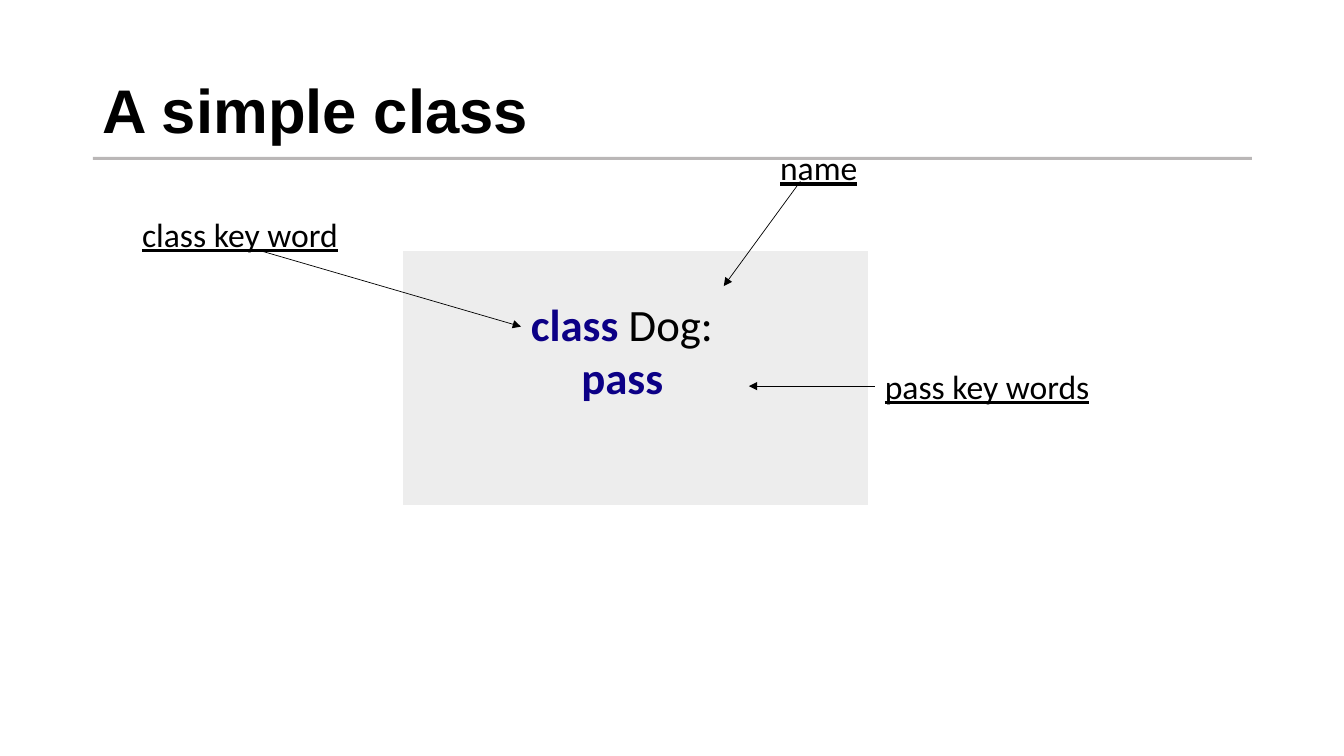
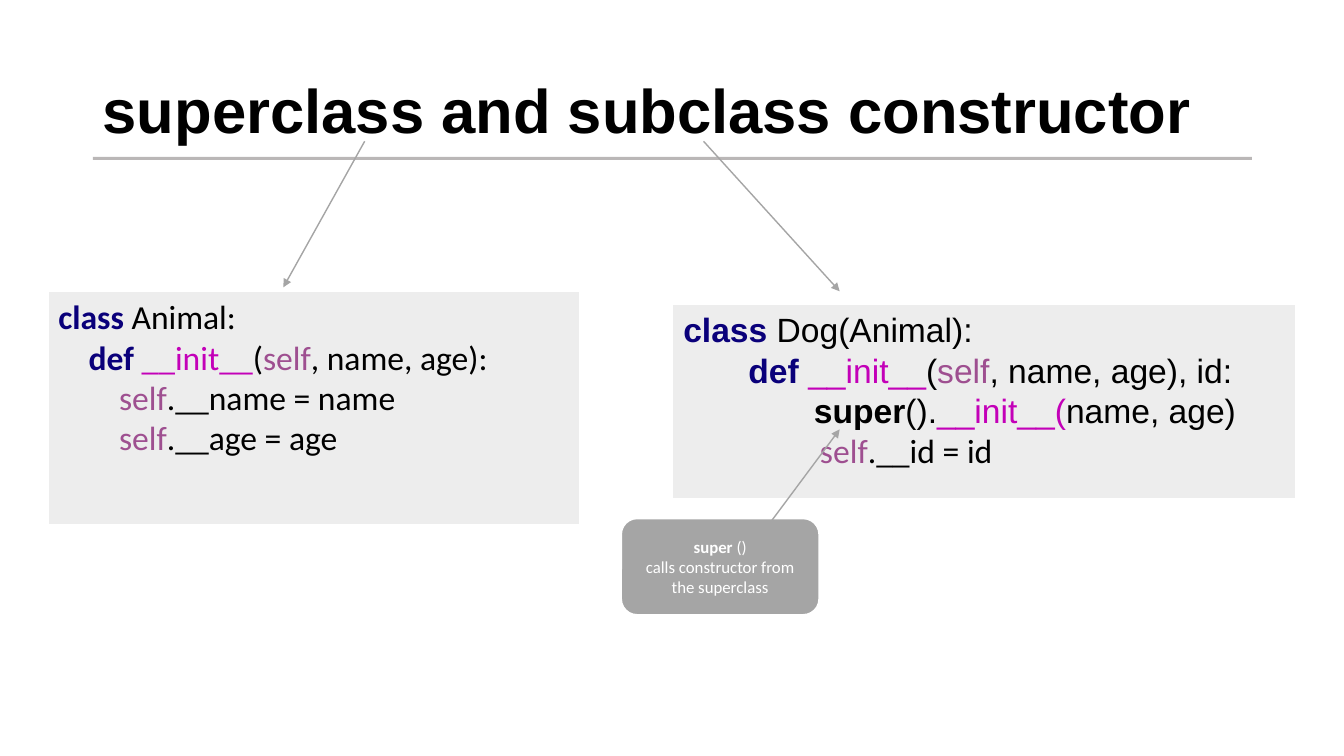
from lxml import etree
from pptx import Presentation
from pptx.dml.color import RGBColor
from pptx.enum.shapes import MSO_CONNECTOR, MSO_SHAPE
from pptx.enum.text import MSO_ANCHOR, MSO_AUTO_SIZE, PP_ALIGN
from pptx.oxml.ns import qn
from pptx.util import Cm, Pt

STRAIGHT = MSO_CONNECTOR.STRAIGHT
ROUNDED = MSO_SHAPE.ROUNDED_RECTANGLE
MIDDLE = MSO_ANCHOR.MIDDLE
CENTER = PP_ALIGN.CENTER
FIT_SHAPE = MSO_AUTO_SIZE.SHAPE_TO_FIT_TEXT
LEFT_SIDE = 1

BLACK, WHITE = "000000", "FFFFFF"
PANEL_GREY, NOTE_GREY, RULE_GREY = "EDEDED", "A5A5A5", "767171"
HEADING_FONT, BODY_FONT = "Arial", "Calibri"

# Code token: colour and weight
TOKENS = {
    "first": ("0C0086", True),
    "keyword": ("0A007A", True),
    "method": ("C300B8", False),
    "self": ("9E4F90", False),
    "builtin": (BLACK, True),
}


def rgb(hex_colour):
    return RGBColor.from_string(hex_colour)


class Deck:
    """Holds the presentation's style and the slide being drawn."""

    def __init__(self):
        self.prs = Presentation()
        self.prs.slide_width, self.prs.slide_height = Cm(33.87), Cm(19.05)
        self.shapes = None

    def slide(self, title):
        blank = self.prs.slide_layouts[6]
        self.shapes = self.prs.slides.add_slide(blank).shapes
        frame = self.text_box(2.34, 1.02, 29.21, 3.68).text_frame
        frame.vertical_anchor = MIDDLE
        heading = frame.paragraphs[0]
        heading.line_spacing = 0.9
        self.fill_paragraph(heading, [title], 44, HEADING_FONT)
        heading.font.bold = True
        self.line((2.34, 3.99), (31.55, 3.99), RULE_GREY, 2, opacity=49)

    def text_box(self, left, top, width, height, wrap=True):
        box = self.shapes.add_textbox(Cm(left), Cm(top), Cm(width), Cm(height))
        box.text_frame.word_wrap = wrap
        return box

    def fill_paragraph(self, paragraph, parts, size, font=BODY_FONT,
                       colour=BLACK):
        """Parts are plain strings or (text, token) pairs."""
        paragraph.font.size, paragraph.font.name = Pt(size), font
        paragraph.font.color.rgb = rgb(colour)
        for part in parts:
            run = paragraph.add_run()
            if isinstance(part, str):
                run.text = part
            else:
                run.text, token = part
                token_colour, run.font.bold = TOKENS[token]
                run.font.color.rgb = rgb(token_colour)

    def panel(self, left, top, width, height):
        """Grey one-cell table behind a code sample."""
        table = self.shapes.add_table(
            1, 1, Cm(left), Cm(top), Cm(width), Cm(height)).table
        fill = table.cell(0, 0).fill
        fill.solid()
        fill.fore_color.rgb = rgb(PANEL_GREY)

    def code(self, left, top, width, height, lines, size=24, wrap=True):
        """Lines are (font, parts) pairs."""
        frame = self.text_box(left, top, width, height, wrap).text_frame
        for number, (font, parts) in enumerate(lines):
            paragraph = frame.add_paragraph() if number else frame.paragraphs[0]
            self.fill_paragraph(paragraph, parts, size, font)

    def label(self, left, top, width, text):
        box = self.text_box(left, top, width, 1.28, wrap=False)
        box.text_frame.auto_size = FIT_SHAPE
        paragraph = box.text_frame.paragraphs[0]
        self.fill_paragraph(paragraph, [text], 24)
        paragraph.font.underline = True
        return box

    def note(self, left, top, width, height, heading, call, explanation):
        box = self.shapes.add_shape(
            ROUNDED, Cm(left), Cm(top), Cm(width), Cm(height))
        box.shadow.inherit = False
        box.fill.solid()
        box.fill.fore_color.rgb = rgb(NOTE_GREY)
        box.line.color.rgb = rgb(WHITE)
        box.line.width = Pt(1.5)
        frame = box.text_frame
        frame.word_wrap = True
        frame.vertical_anchor = MIDDLE
        for paragraph, parts in ((frame.paragraphs[0], [heading, call]),
                                 (frame.add_paragraph(), [explanation])):
            paragraph.alignment = CENTER
            self.fill_paragraph(paragraph, parts, 12, colour=WHITE)
        frame.paragraphs[0].runs[0].font.bold = True

    def line(self, start, end, colour, width, opacity=None):
        connector = self.shapes.add_connector(
            STRAIGHT, *(Cm(value) for value in start + end))
        connector.line.color.rgb = rgb(colour)
        connector.line.width = Pt(width)
        properties = connector._element.spPr
        etree.SubElement(properties, qn("a:effectLst"))
        if opacity is not None:
            shade = properties.find(".//" + qn("a:srgbClr"))
            etree.SubElement(shade, qn("a:alpha"), val=str(opacity * 1000))
        return connector

    def arrow(self, start, end, colour, width):
        connector = self.line(start, end, colour, width)
        outline = connector._element.spPr.find(qn("a:ln"))
        etree.SubElement(outline, qn("a:tailEnd"), type="triangle")
        return connector


def simple_class(deck):
    deck.slide("A simple class")
    deck.panel(10.13, 6.3, 11.76, 6.43)
    deck.code(13.13, 7.34, 5.16, 3, [
        (BODY_FONT, [("class ", "first"), "Dog:"]),
        (BODY_FONT, ["   \t", ("pass", "first")]),
    ], size=32, wrap=False)
    deck.label(19.41, 3.58, 2.49, "name")
    deck.label(3.33, 5.26, 5.49, "class key word")
    pass_label = deck.label(22.05, 9.09, 5.72, "pass key words")
    deck.arrow((20.17, 4.57), (18.24, 7.21), BLACK, 0.5)
    deck.arrow((6.5, 6.3), (13.13, 8.23), BLACK, 0.5)
    pass_arrow = deck.arrow((22.05, 9.73), (18.87, 9.73), BLACK, 0.5)
    pass_arrow.begin_connect(pass_label, LEFT_SIDE)


def constructors(deck):
    deck.slide("superclass and subclass constructor")
    deck.panel(16.94, 7.67, 15.72, 4.9)
    deck.code(16.97, 7.67, 16.8, 5.38, [
        (HEADING_FONT, [("class", "keyword"), " Dog(Animal):"]),
        (HEADING_FONT, [("       def ", "keyword"), ("__init__", "method"),
                        "(", ("self", "self"), ", name, age), id:"]),
        (HEADING_FONT, ["              ", ("super", "builtin"), "().",
                        ("__init__(", "method"), "name, age)"]),
        (BODY_FONT, [("                  self", "self"), ".__id = id"]),
    ])
    deck.panel(1.22, 7.34, 13.39, 5.87)
    deck.code(1.22, 7.34, 16.94, 5.38, [
        (BODY_FONT, [("class ", "keyword"), "Animal:"]),
        (BODY_FONT, [("    def ", "keyword"), ("__init__", "method"),
                     "(", ("self", "self"), ", name, age):"]),
        (BODY_FONT, [("        self", "self"), ".__name = name"]),
        (BODY_FONT, [("        self", "self"), ".__age = age"]),
    ])
    deck.note(15.65, 13.06, 5, 2.44, "super", " ()",
              "calls constructor from the superclass")
    for start, end in (((19.38, 13.21), (21.16, 10.82)),
                       ((17.73, 3.56), (21.16, 7.34)),
                       ((9.19, 3.56), (7.14, 7.24))):
        deck.arrow(start, end, NOTE_GREY, 1)


def main():
    deck = Deck()
    simple_class(deck)
    constructors(deck)
    deck.prs.save("out.pptx")


if __name__ == "__main__":
    main()
